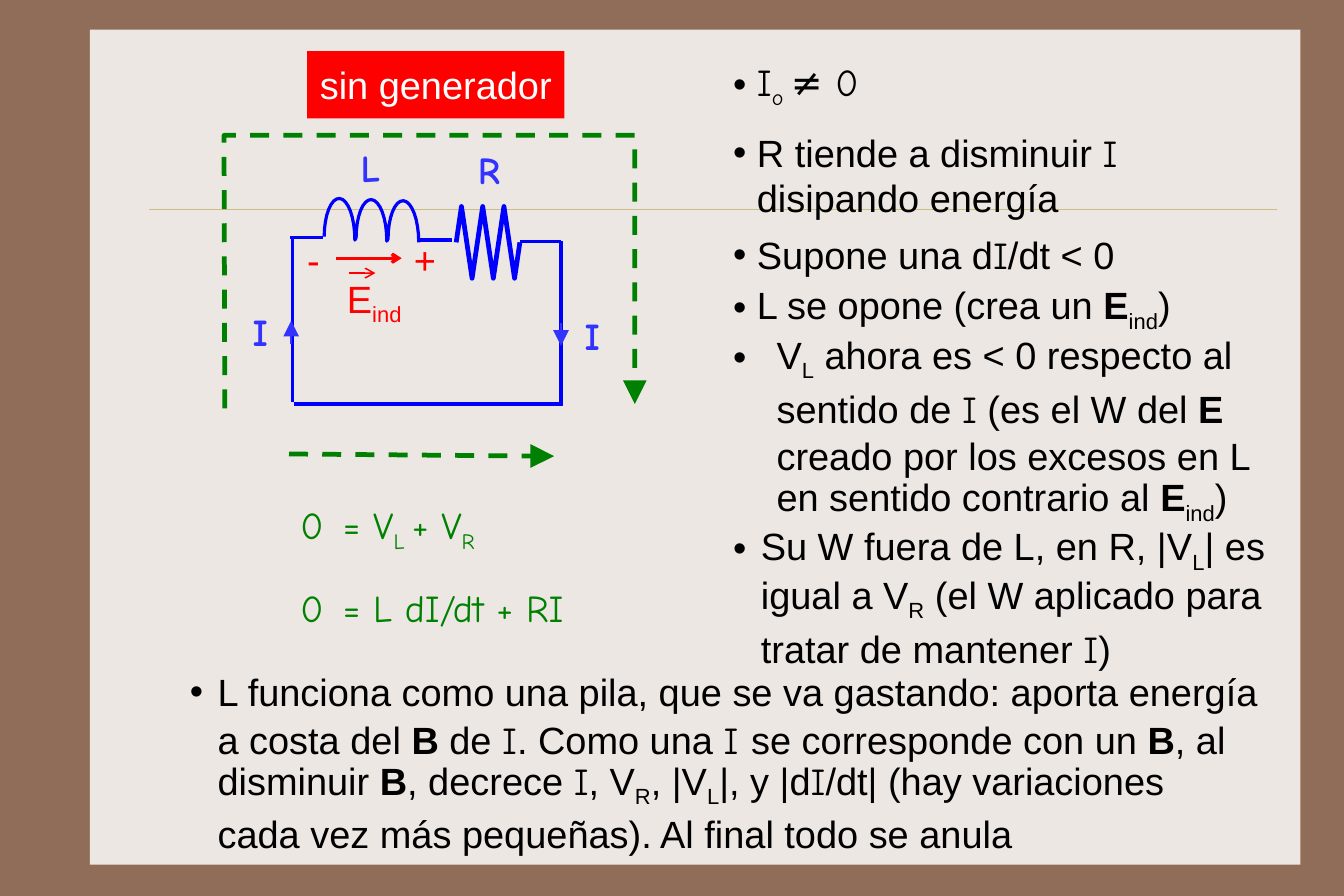
from dataclasses import dataclass
from math import cos, pi, sin

from lxml import etree
from pptx import Presentation
from pptx.dml.color import RGBColor
from pptx.enum.dml import MSO_LINE
from pptx.enum.shapes import MSO_CONNECTOR, MSO_SHAPE
from pptx.enum.text import MSO_ANCHOR, MSO_AUTO_SIZE, PP_ALIGN
from pptx.oxml.ns import qn
from pptx.util import Pt

STRAIGHT = MSO_CONNECTOR.STRAIGHT
RECTANGLE = MSO_SHAPE.RECTANGLE
DASH = MSO_LINE.DASH
TOP, MIDDLE = MSO_ANCHOR.TOP, MSO_ANCHOR.MIDDLE
FIXED_SIZE = MSO_AUTO_SIZE.NONE
LEFT, CENTER = PP_ALIGN.LEFT, PP_ALIGN.CENTER
OPEN_HEAD = {"type": "arrow"}
SOLID_HEAD = {"type": "triangle", "w": "lg", "len": "lg"}


@dataclass(frozen=True)
class Theme:
    frame: str = "906D58"
    panel: str = "EDE7E3"
    rule: str = "CBBD83"
    red: str = "FF0000"
    white: str = "FFFFFF"
    black: str = "000000"
    wire: str = "0000FF"
    label: str = "3333FF"
    green: str = "008000"
    size: int = 24
    sans: str = "Arial"
    hand: str = "Comic Neue"


@dataclass(frozen=True)
class Box:
    left: float
    top: float
    width: float
    height: float

    def point(self, x, y):
        return Pt(self.left + x), Pt(self.top + y)

    def frame(self):
        return [Pt(n) for n in (self.left, self.top, self.width, self.height)]


THEME = Theme()
PLAIN = {"name": THEME.sans, "bold": False}
BOLD = {"name": THEME.sans, "bold": True}
HAND = {"name": THEME.hand, "bold": False}
HAND_BOLD = {"name": THEME.hand, "bold": True}
SUB = {**PLAIN, "baseline": "-25000"}
HAND_SUB = {**HAND, "baseline": "-25000"}
I = ("I", HAND)
B = ("B", BOLD)

# Each item: space before, line pitch, hanging indent, runs
CONCLUSIONS = [
    (0, 28.8, 15, [("I", HAND), ("o ", HAND_SUB), ("≠ 0", HAND)]),
    (12.3, 28.8, 15, [("R tiende a disminuir ", PLAIN), I, (" disipando energía", PLAIN)]),
    (7.3, 28.8, 15, [("Supone una d", PLAIN), I, ("/dt < 0", PLAIN)]),
    (6.6, 28.8, 15, [("L se opone (crea un ", PLAIN), ("E", BOLD), ("ind", SUB), (")", PLAIN)]),
    (1.6, 30, 27.4, [("V", PLAIN), ("L", SUB), (" ahora es < 0 respecto al sentido de ", PLAIN), I,
                     (" (es el W del ", PLAIN), ("E", BOLD),
                     (" creado por los excesos en L en sentido contrario al ", PLAIN),
                     ("E", BOLD), ("ind", SUB), (")", PLAIN)]),
    (0.6, 30.5, 17.5, [("Su W fuera de L, en R, |V", PLAIN), ("L", SUB), ("| es igual a V", PLAIN),
                       ("R", SUB), (" (el W aplicado para tratar de mantener ", PLAIN), I, (")", PLAIN)]),
]
SUMMARY = [
    (0, 30, 17.5, [("L funciona como una pila, que se va gastando: aporta energía\va costa del ", PLAIN), B,
                   (" de ", PLAIN), I, (". Como una ", PLAIN), ("I ", HAND),
                   ("se corresponde con un ", PLAIN), B, (", al\vdisminuir ", PLAIN), B,
                   (", decrece ", PLAIN), I, (", V", PLAIN), ("R", SUB), (", |V", PLAIN), ("L", SUB),
                   ("|, y |d", PLAIN), I,
                   ("/dt| (hay variaciones\vcada vez más pequeñas). Al final todo se anula", PLAIN)]),
]
EQUATIONS = [
    [("0\t= V", HAND), ("L ", HAND_SUB), ("+ V", HAND), ("R", HAND_SUB)],
    [("0\t= L dI/dt + RI", HAND)],
]


def rgb(color):
    return RGBColor.from_string(color)


def write_runs(paragraph, runs, color):
    """Write styled runs; a vertical tab in the text starts a new line."""
    for text, style in runs:
        for index, line in enumerate(text.split("\v")):
            if index:
                paragraph.add_line_break()
            run = paragraph.add_run()
            run.text = line
            run.font.size = Pt(THEME.size)
            run.font.color.rgb = rgb(color)
            for key, value in style.items():
                if key == "baseline":
                    run._r.get_or_add_rPr().set(key, value)
                else:
                    setattr(run.font, key, value)


def set_frame(text_frame, margins=(0, 0), anchor=TOP, wrap=True):
    across, down = (Pt(margin) for margin in margins)
    values = {"margin_left": across, "margin_right": across, "margin_top": down, "margin_bottom": down,
              "vertical_anchor": anchor, "word_wrap": wrap, "auto_size": FIXED_SIZE}
    for key, value in values.items():
        setattr(text_frame, key, value)


def place(shape, box):
    for key, value in zip(("left", "top", "width", "height"), box.frame()):
        setattr(shape, key, value)


def add_label(slide, box, runs, color, tab=None):
    text_box = slide.shapes.add_textbox(*box.frame())
    set_frame(text_box.text_frame, (5.76, 2.88), wrap=False)
    paragraph = text_box.text_frame.paragraphs[0]
    if tab:
        tabs = etree.SubElement(paragraph._p.get_or_add_pPr(), qn("a:tabLst"))
        etree.SubElement(tabs, qn("a:tab"), pos=str(Pt(tab)), algn="l")
    write_runs(paragraph, runs, color)


def style_line(shape, color, width, head=None, dashed=False):
    shape.line.color.rgb = rgb(color)
    shape.line.width = Pt(width)
    if dashed:
        shape.line.dash_style = DASH
    if head:
        etree.SubElement(shape.element.spPr.find(qn("a:ln")), qn("a:tailEnd"), head)


def add_line(slide, box, ends, color, width, head=None, dashed=False):
    x1, y1, x2, y2 = ends
    line = slide.shapes.add_connector(STRAIGHT, *box.point(x1, y1), *box.point(x2, y2))
    style_line(line, color, width, head, dashed)
    etree.SubElement(line.element.spPr, qn("a:effectLst"))
    return line


def add_outline(slide, box, points, color, width, head=None, dashed=False):
    start, *others = [box.point(*point) for point in points]
    builder = slide.shapes.build_freeform(*start)
    builder.add_line_segments(others, close=False)
    shape = builder.convert_to_shape()
    shape.shadow.inherit = False
    shape.fill.background()
    style_line(shape, color, width, head, dashed)


def add_backdrop(slide, box):
    """Put the panel and its rule behind the placeholders."""
    slide.background.fill.solid()
    slide.background.fill.fore_color.rgb = rgb(THEME.frame)
    panel = slide.shapes.add_shape(RECTANGLE, *box.frame())
    panel.shadow.inherit = False
    panel.fill.solid()
    panel.fill.fore_color.rgb = rgb(THEME.panel)
    panel.line.fill.background()
    rule = add_line(slide, box, (37.4, 113.8, 751, 113.8), THEME.rule, 0.25)
    for shape in (panel, rule):
        slide.shapes.title.element.addprevious(shape.element)


def add_title(slide, box):
    title = slide.shapes.title
    place(title, box)
    title.fill.solid()
    title.fill.fore_color.rgb = rgb(THEME.red)
    set_frame(title.text_frame, anchor=MIDDLE, wrap=False)
    paragraph = title.text_frame.paragraphs[0]
    paragraph.alignment = CENTER
    write_runs(paragraph, [("sin generador", PLAIN)], THEME.white)


def add_list(placeholder, box, items):
    place(placeholder, box)
    text_frame = placeholder.text_frame
    set_frame(text_frame)
    for index, (space, pitch, hanging, runs) in enumerate(items):
        paragraph = text_frame.add_paragraph() if index else text_frame.paragraphs[0]
        properties = paragraph._p.get_or_add_pPr()
        properties.set("marL", str(Pt(hanging)))
        properties.set("indent", str(-Pt(hanging)))
        formats = {"alignment": LEFT, "space_before": Pt(space), "line_spacing": Pt(pitch)}
        for key, value in formats.items():
            setattr(paragraph, key, value)
        write_runs(paragraph, runs, THEME.black)


def add_circuit(slide, box):
    for ends in ((41.8, 64.8, 62.7, 64.8), (123.9, 66.2, 144, 66.2), (187.2, 66.9, 213.2, 66.9),
                 (43.2, 64, 43.2, 168.5), (213.2, 66.9, 213.2, 171.3), (44, 170, 213.9, 170)):
        add_line(slide, box, ends, THEME.wire, 2)
    steps = 16
    coil = [(63.4 + 20.2 * turn + 9.7 * (1 - cos(pi * k / steps)),
             64 + 0.72 * turn + 2.2 * k / steps - 25.2 * sin(pi * k / steps))
            for turn in range(3) for k in range(steps + 1)]
    add_outline(slide, box, coil, THEME.wire, 2)
    swings = zip((0, 1, 3, 5, 7, 9, 11, 12), (0, -1, 1, -1, 1, -1, 1, 0))
    resistor = [(146.9 + 3.36 * step, 67.7 + 22.7 * swing) for step, swing in swings]
    add_outline(slide, box, resistor, THEME.wire, 3)
    for ends in ((42.5, 131.7, 42.5, 117.3), (213.2, 118.8, 213.2, 133.2)):
        add_line(slide, box, ends, THEME.label, 1, SOLID_HEAD)
    add_line(slide, box, (70.6, 77.7, 112.4, 77.7), THEME.red, 2, OPEN_HEAD)
    add_line(slide, box, (79.2, 87.1, 95.8, 87.1), THEME.red, 1, OPEN_HEAD)
    around = [(0.5, 172.8), (0, 0), (260, 0), (260, 170)]
    add_outline(slide, box, around, THEME.green, 3, SOLID_HEAD, True)
    add_line(slide, box, (41.1, 201.6, 208.9, 203), THEME.green, 3, SOLID_HEAD, True)
    labels = [(12.3, 106.5, 25, [("I", HAND_BOLD)], THEME.label),
              (222.5, 109.4, 25, [("I", HAND_BOLD)], THEME.label),
              (154.8, 4.3, 27, [("R", HAND_BOLD)], THEME.label),
              (80.7, 2.9, 25, [("L", HAND_BOLD)], THEME.label),
              (46.8, 60.8, 20, [("-", PLAIN)], THEME.red),
              (114.4, 60.8, 26, [("+", PLAIN)], THEME.red),
              (72, 85.5, 52, [("E", PLAIN), ("ind", SUB)], THEME.red)]
    for x, y, width, runs, color in labels:
        add_label(slide, Box(box.left + x, box.top + y, width, 35.3), runs, color)


def add_equations(slide, box):
    for row, runs in enumerate(EQUATIONS):
        line_box = Box(box.left, box.top + 52.6 * row, box.width, 35.3)
        add_label(slide, line_box, runs, THEME.green, tab=27)


def main():
    presentation = Presentation()
    presentation.slide_width, presentation.slide_height = Pt(850.5), Pt(567)
    slide = presentation.slides.add_slide(presentation.slide_layouts[3])
    add_backdrop(slide, Box(56.9, 18.7, 766.1, 528.5))
    add_title(slide, Box(194.4, 32.4, 162.7, 42.5))
    add_circuit(slide, Box(141.8, 85.7, 260, 203))
    add_equations(slide, Box(184.3, 314.6, 196.6, 88))
    add_list(slide.placeholders[1], Box(464, 40.8, 343, 380), CONCLUSIONS)
    add_list(slide.placeholders[2], Box(120.2, 422, 690, 122), SUMMARY)
    presentation.save("out.pptx")


if __name__ == "__main__":
    main()
